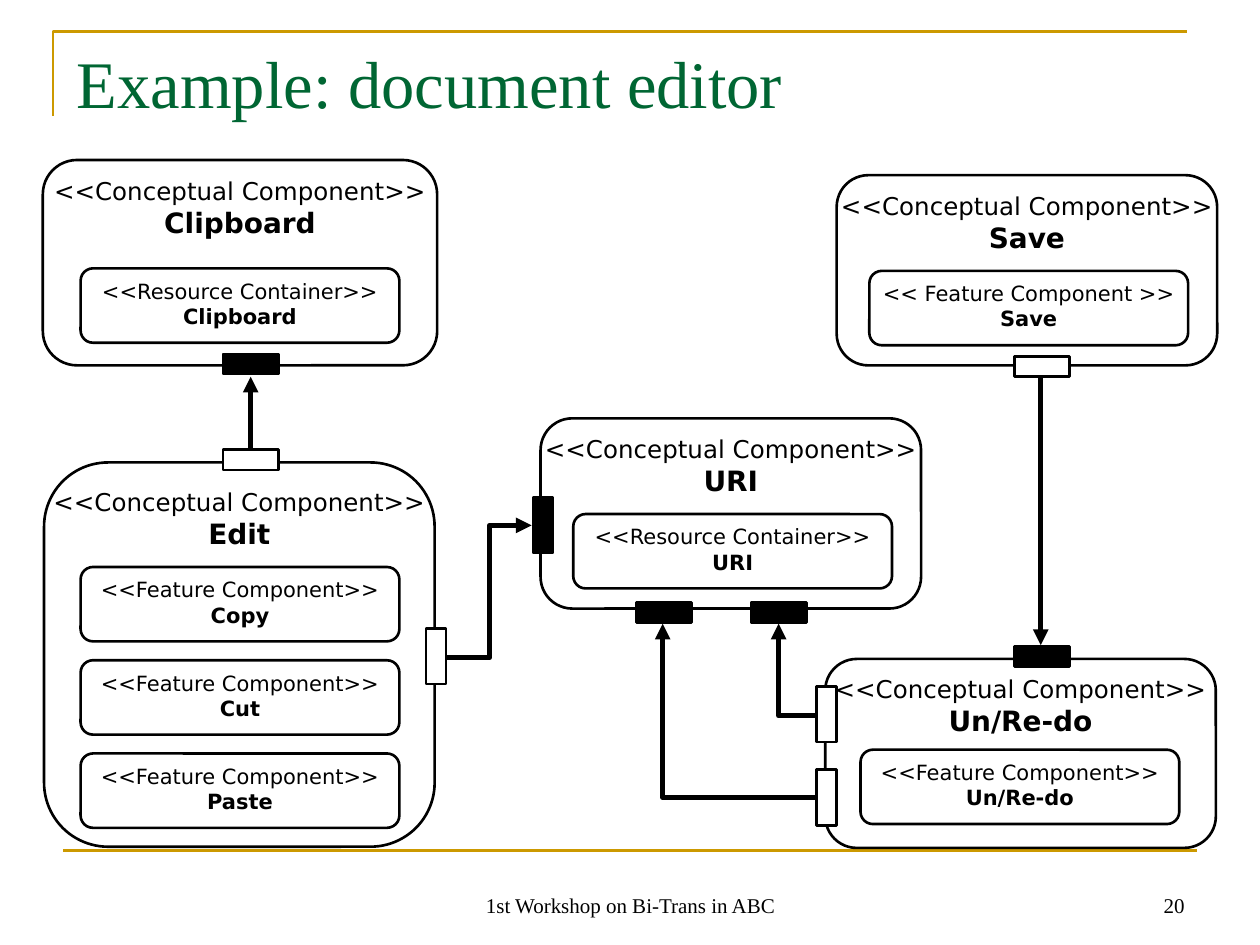
from lxml import etree
from pptx import Presentation
from pptx.dml.color import RGBColor
from pptx.enum import shapes, text
from pptx.oxml import ns
from pptx.util import Inches, Pt

THEME = {
    "black": RGBColor.from_string("000000"),
    "white": RGBColor.from_string("FFFFFF"),
    "gold": RGBColor.from_string("CC9900"),
    "green": RGBColor.from_string("006633"),
    "serif": "Times New Roman",
    "sans": "DejaVu Sans",
    "title": Pt(38),
    "stereotype": Pt(14),
    "name": Pt(16),
    "part": Pt(12),
    "footer": Pt(12),
    "outline": Pt(1.5),
    "arrow": Pt(3),
}


def write_text(shape, lines, alignment, frame_format, color="black"):
    """Fill a shape with lines given as (text, font values)."""
    frame = shape.text_frame
    for name, value in frame_format.items():
        setattr(frame, name, value)
    for index, (words, font_format) in enumerate(lines):
        paragraph = frame.paragraphs[0] if index == 0 else frame.add_paragraph()
        paragraph.text = words
        paragraph.alignment = alignment
        for name, value in font_format.items():
            setattr(paragraph.runs[0].font, name, value)
        paragraph.runs[0].font.color.rgb = THEME[color]


def add_box(kind, left, top, width, height, fill="white"):
    """Add a black-outlined shape without shadow."""
    shape = slide.shapes.add_shape(
        kind, Inches(left), Inches(top), Inches(width), Inches(height))
    shape.shadow.inherit = False
    shape.fill.solid()
    shape.fill.fore_color.rgb = THEME[fill]
    shape.line.color.rgb = THEME["black"]
    shape.line.width = THEME["outline"]
    return shape


presentation = Presentation()
presentation.slide_width, presentation.slide_height = Inches(10), Inches(7.5)
slide = presentation.slides.add_slide(presentation.slide_layouts[5])

# Gold corner and bottom rule
builder = slide.shapes.build_freeform(Inches(0.42), Inches(0.92))
builder.add_line_segments(
    [(Inches(0.42), Inches(0.25)), (Inches(9.42), Inches(0.25))], close=False)
corner = builder.convert_to_shape()
corner.shadow.inherit = False
corner.fill.background()
rule = slide.shapes.add_connector(
    shapes.MSO_CONNECTOR.STRAIGHT, Inches(0.5), Inches(6.75), Inches(9.5), Inches(6.75))
etree.SubElement(rule._element.spPr, ns.qn("a:effectLst"))
for shape in (corner, rule):
    shape.line.color.rgb = THEME["gold"]
    shape.line.width = THEME["outline"]

# Title
title = slide.shapes.title
title.left, title.top, title.width, title.height = map(Inches, (0.51, 0.28, 9, 1.25))
write_text(
    title,
    [("Example: document editor", {"size": THEME["title"], "name": THEME["serif"]})],
    text.PP_ALIGN.LEFT,
    {"vertical_anchor": text.MSO_ANCHOR.TOP, "auto_size": text.MSO_AUTO_SIZE.NONE,
     "word_wrap": True},
    "green")

# Components: name, box, then parts as (stereotype, name, left, top)
feature, resource = "<<Feature Component>>", "<<Resource Container>>"
components = [
    ("Clipboard", (0.34, 1.27, 3.13, 1.63), [(resource, "Clipboard", 0.64, 2.13)]),
    ("Edit", (0.35, 3.67, 3.1, 3.05),
     [(feature, name, 0.64, 4.5 + 0.74 * row)
      for row, name in enumerate(("Copy", "Cut", "Paste"))]),
    ("URI", (4.29, 3.32, 3.02, 1.51), [(resource, "URI", 4.55, 4.08)]),
    ("Save", (6.64, 1.39, 3.02, 1.51), [("<< Feature Component >>", "Save", 6.9, 2.15)]),
    ("Un/Re-do", (6.55, 5.23, 3.1, 1.5), [(feature, "Un/Re-do", 6.83, 5.95)]),
]
for component, box, parts in components:
    labelled = [(box, "<<Conceptual Component>>", component, "stereotype", "name")]
    labelled += [((left, top, 2.53, 0.59), stereotype, name, "part", "part")
                 for stereotype, name, left, top in parts]
    for place, stereotype, name, first_size, second_size in labelled:
        shape = add_box(shapes.MSO_SHAPE.ROUNDED_RECTANGLE, *place)
        write_text(
            shape,
            [(stereotype, {"size": THEME[first_size], "name": THEME["sans"]}),
             (name, {"size": THEME[second_size], "name": THEME["sans"], "bold": True})],
            text.PP_ALIGN.CENTER,
            {"vertical_anchor": text.MSO_ANCHOR.TOP, "word_wrap": False})

# Ports: black ones provide, white ones require
ports = [
    (1.77, 2.81, "black", 0), (1.77, 3.57, "white", 0),
    (8.05, 5.13, "black", 0), (8.05, 2.83, "white", 0),
    (4.09, 4.09, "black", 90), (5.96, 4.78, "black", 0), (5.05, 4.78, "black", 0),
    (6.34, 5.59, "white", 90), (6.34, 6.25, "white", 90), (3.24, 5.13, "white", 90),
]
for left, top, fill, rotation in ports:
    port = add_box(shapes.MSO_SHAPE.RECTANGLE, left, top, 0.44, 0.16, fill)
    port.rotation = rotation

# Arrows from requiring to providing ports
straight, elbow = shapes.MSO_CONNECTOR.STRAIGHT, shapes.MSO_CONNECTOR.ELBOW
arrows = [
    (straight, 1.99, 3.56, 1.99, 2.99, "line"),
    (elbow, 3.55, 5.22, 4.22, 4.17, "bentConnector3"),
    (elbow, 6.47, 6.33, 5.26, 4.95, "bentConnector2"),
    (elbow, 6.47, 5.68, 6.18, 4.95, "bentConnector2"),
    (straight, 8.26, 3, 8.26, 5.12, "line"),
]
for kind, *ends, preset in arrows:
    arrow = slide.shapes.add_connector(kind, *map(Inches, ends))
    arrow.line.color.rgb = THEME["black"]
    arrow.line.width = THEME["arrow"]
    properties = arrow._element.spPr
    properties.find(ns.qn("a:prstGeom")).set("prst", preset)
    etree.SubElement(properties.find(ns.qn("a:ln")), ns.qn("a:tailEnd"), type="triangle")
    etree.SubElement(properties, ns.qn("a:effectLst"))

# Footer and slide number
footers = [
    ("1st Workshop on Bi-Trans in ABC", 3.42, 3.17, text.PP_ALIGN.CENTER),
    ("20", 7.17, 2.33, text.PP_ALIGN.RIGHT),
]
for words, left, width, alignment in footers:
    footer = slide.shapes.add_textbox(Inches(left), Inches(6.83), Inches(width), Inches(0.5))
    write_text(
        footer,
        [(words, {"size": THEME["footer"], "name": THEME["serif"]})],
        alignment,
        {"vertical_anchor": text.MSO_ANCHOR.BOTTOM, "word_wrap": True})

presentation.save("out.pptx")
